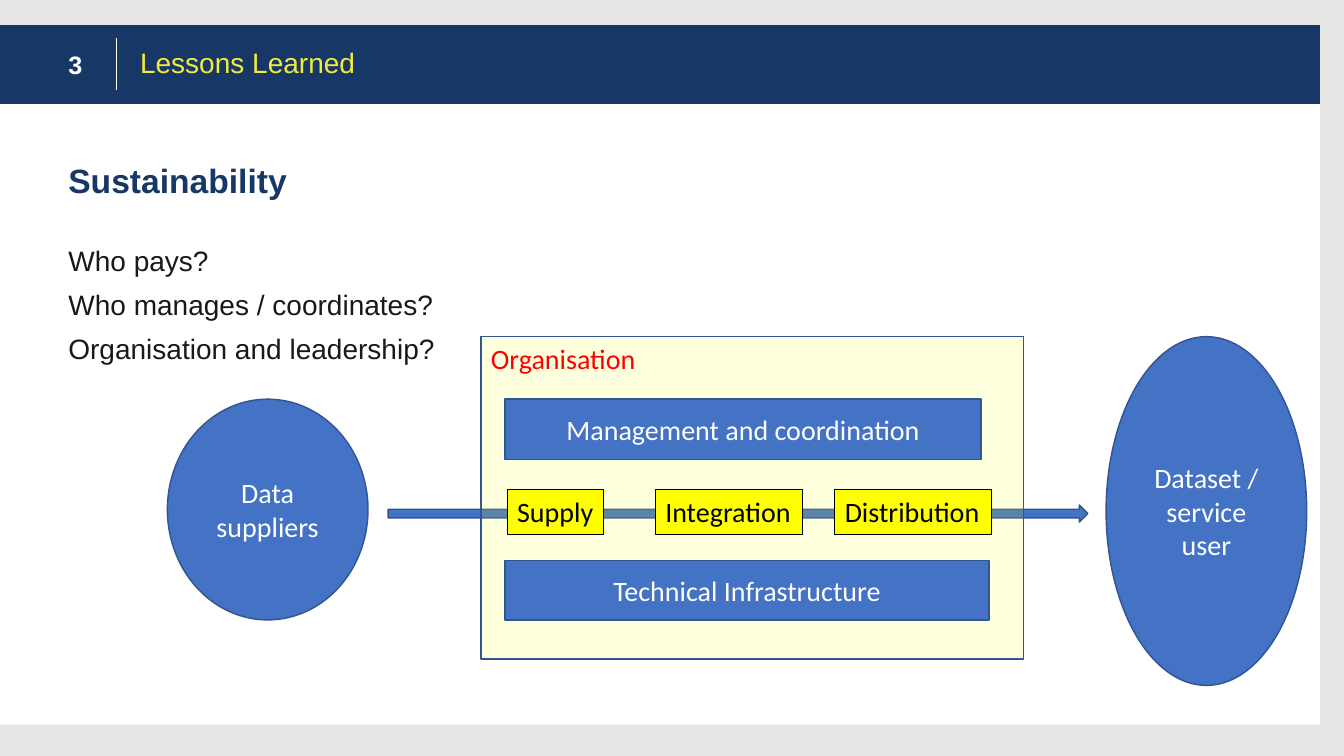
import pptx
import pptx.dml.color
import pptx.enum.shapes
import pptx.enum.text
import pptx.oxml.ns
import pptx.util
from lxml import etree

Inches = pptx.util.Inches
Pt = pptx.util.Pt
SHAPE = pptx.enum.shapes.MSO_SHAPE
ANCHOR = pptx.enum.text.MSO_ANCHOR
ALIGN = pptx.enum.text.PP_ALIGN

NAVY, WHITE, BLACK = "173866", "FEFFFE", "000000"
BLUE, BLUE_EDGE, YELLOW = "4472C4", "325491", "FFFF00"


def rgb(color):
    return pptx.dml.color.RGBColor.from_string(color)


class SlideBuilder:
    heading_font = "Arial"
    diagram_font = "Calibri"

    def __init__(self, slide, background):
        self.slide = slide
        slide.background.fill.solid()
        slide.background.fill.fore_color.rgb = rgb(background)

    def set_text(self, frame, lines, font, size, color, bold=False, align=ALIGN.LEFT,
                 anchor=ANCHOR.TOP, spacing=None, before=0):
        frame.text = "\n".join(lines)
        frame.vertical_anchor = anchor
        for index, paragraph in enumerate(frame.paragraphs):
            paragraph.alignment = align
            if spacing:
                paragraph.line_spacing = spacing
            if index and before:
                paragraph.space_before = Pt(before)
            for run in paragraph.runs:
                run.font.name = font
                run.font.size = Pt(size)
                run.font.bold = bold
                run.font.color.rgb = rgb(color)

    def text(self, box, lines, size, color, **style):
        frame = self.slide.shapes.add_textbox(*map(Inches, box)).text_frame
        frame.word_wrap = True
        self.set_text(frame, lines, self.heading_font, size, color, **style)

    def shape(self, kind, box, fill, edge=None, width=1.0, alpha=None):
        """Add a preset shape; alpha is the fill opacity in percent."""
        item = self.slide.shapes.add_shape(kind, *map(Inches, box))
        item.shadow.inherit = False
        item.fill.solid()
        item.fill.fore_color.rgb = rgb(fill)
        if alpha is not None:
            qn = pptx.oxml.ns.qn
            fill_color = item.element.spPr.find(qn("a:solidFill"))[0]
            etree.SubElement(fill_color, qn("a:alpha"), val=str(alpha * 1000))
        if edge:
            item.line.color.rgb = rgb(edge)
            item.line.width = Pt(width)
        else:
            item.line.fill.background()
        return item

    def block(self, kind, box, label):
        """Add a blue shape with a centred white label."""
        item = self.shape(kind, box, BLUE, BLUE_EDGE)
        self.set_text(item.text_frame, [label], self.diagram_font, 20, "FFFFFF",
                      align=ALIGN.CENTER, anchor=ANCHOR.MIDDLE)

    def step(self, box, label):
        """Add a yellow process step."""
        item = self.shape(SHAPE.RECTANGLE, box, YELLOW, BLACK, 0.75)
        item.text_frame.word_wrap = False
        self.set_text(item.text_frame, [label], self.diagram_font, 20, BLACK)

    def line(self, x1, y1, x2, y2, color, width):
        rule = self.slide.shapes.add_connector(
            pptx.enum.shapes.MSO_CONNECTOR.STRAIGHT, *map(Inches, (x1, y1, x2, y2)))
        rule.line.color.rgb = rgb(color)
        rule.line.width = Pt(width)
        etree.SubElement(rule.element.spPr, pptx.oxml.ns.qn("a:effectLst"))


def main():
    deck = pptx.Presentation()
    deck.slide_width, deck.slide_height = Inches(13.33), Inches(7.5)
    page = SlideBuilder(deck.slides.add_slide(deck.slide_layouts[6]), "E6E5E6")

    page.shape(SHAPE.RECTANGLE, (0, 0.25, 13.09, 6.94), WHITE)
    page.shape(SHAPE.RECTANGLE, (0, 0.25, 13.09, 0.78), NAVY)
    page.line(1.15, 0.38, 1.15, 0.89, WHITE, 0.5)

    page.text((0.58, 1.46, 11.84, 0.71), ["Sustainability"], 24, NAVY,
              bold=True, anchor=ANCHOR.MIDDLE, spacing=0.9)
    questions = ["Who pays?", "Who manages / coordinates?", "Organisation and leadership?"]
    page.text((0.58, 2.4, 11.84, 4.17), questions, 20, "1A1918", spacing=0.9, before=10)
    page.text((1.29, 0.44, 4.15, 0.42), ["Lessons Learned"], 20, "F1EB3E", spacing=0.9)

    page.shape(SHAPE.RIGHT_ARROW, (3.85, 5.01, 6.94, 0.17), BLUE, BLUE_EDGE)
    organisation = page.shape(SHAPE.RECTANGLE, (4.77, 3.34, 5.38, 3.2),
                              YELLOW, BLUE_EDGE, alpha=13)
    page.set_text(organisation.text_frame, ["Organisation"], page.diagram_font, 20, "FF0000")

    for left, width, label in ((5.03, 0.96, "Supply"), (6.5, 1.46, "Integration"),
                               (8.28, 1.55, "Distribution")):
        page.step((left, 4.86, width, 0.44), label)

    page.block(SHAPE.OVAL, (10.97, 3.34, 1.99, 3.46), "Dataset / service user")
    page.block(SHAPE.OVAL, (1.66, 3.96, 1.99, 2.19), "Data suppliers")
    page.block(SHAPE.RECTANGLE, (5.01, 3.96, 4.72, 0.6), "Management and coordination")
    page.block(SHAPE.RECTANGLE, (5.01, 5.56, 4.8, 0.59), "Technical Infrastructure")

    page.text((0.58, 0.44, 0.53, 0.4), ["3"], 18, WHITE, bold=True, anchor=ANCHOR.MIDDLE)

    deck.save("out.pptx")


if __name__ == "__main__":
    main()
